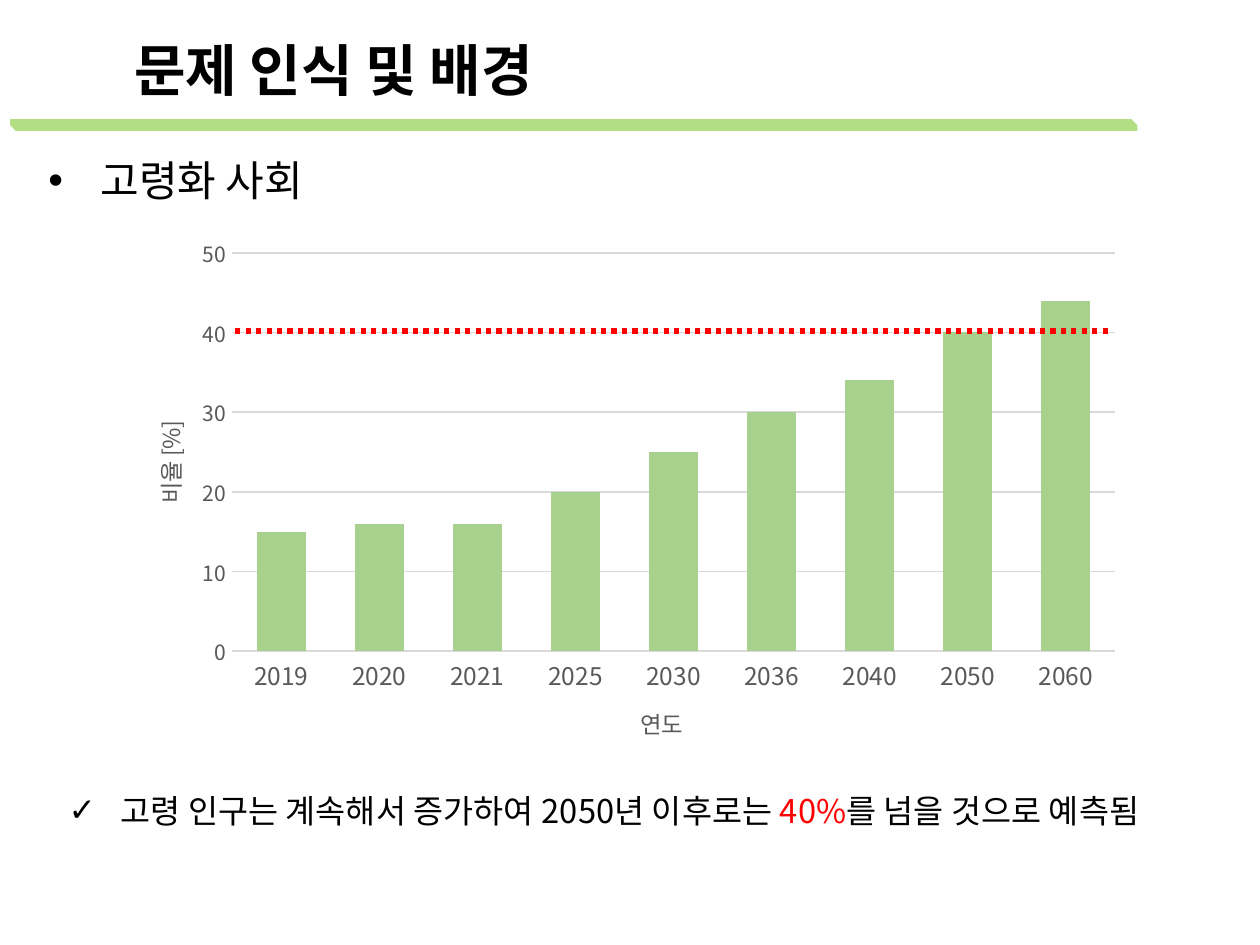
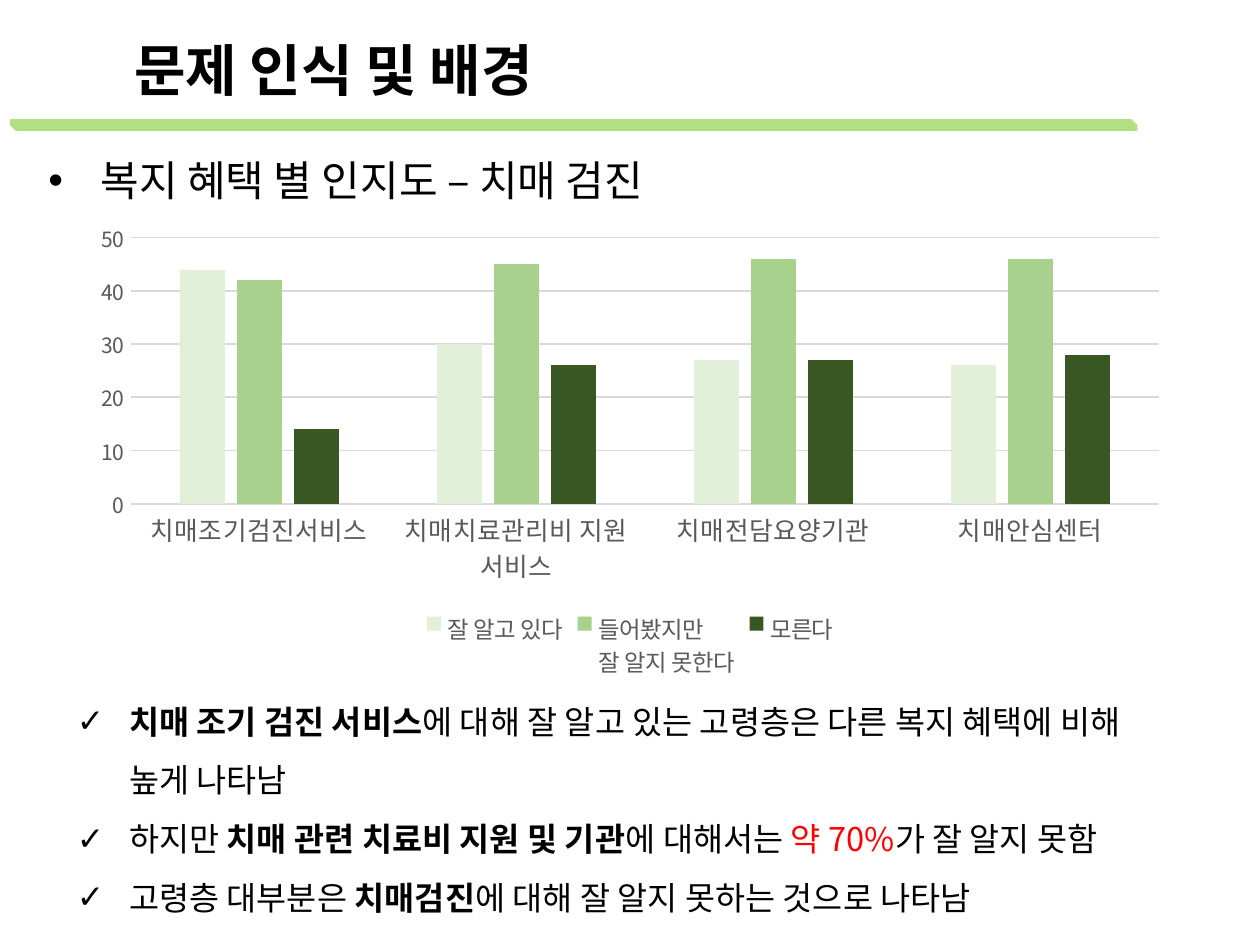
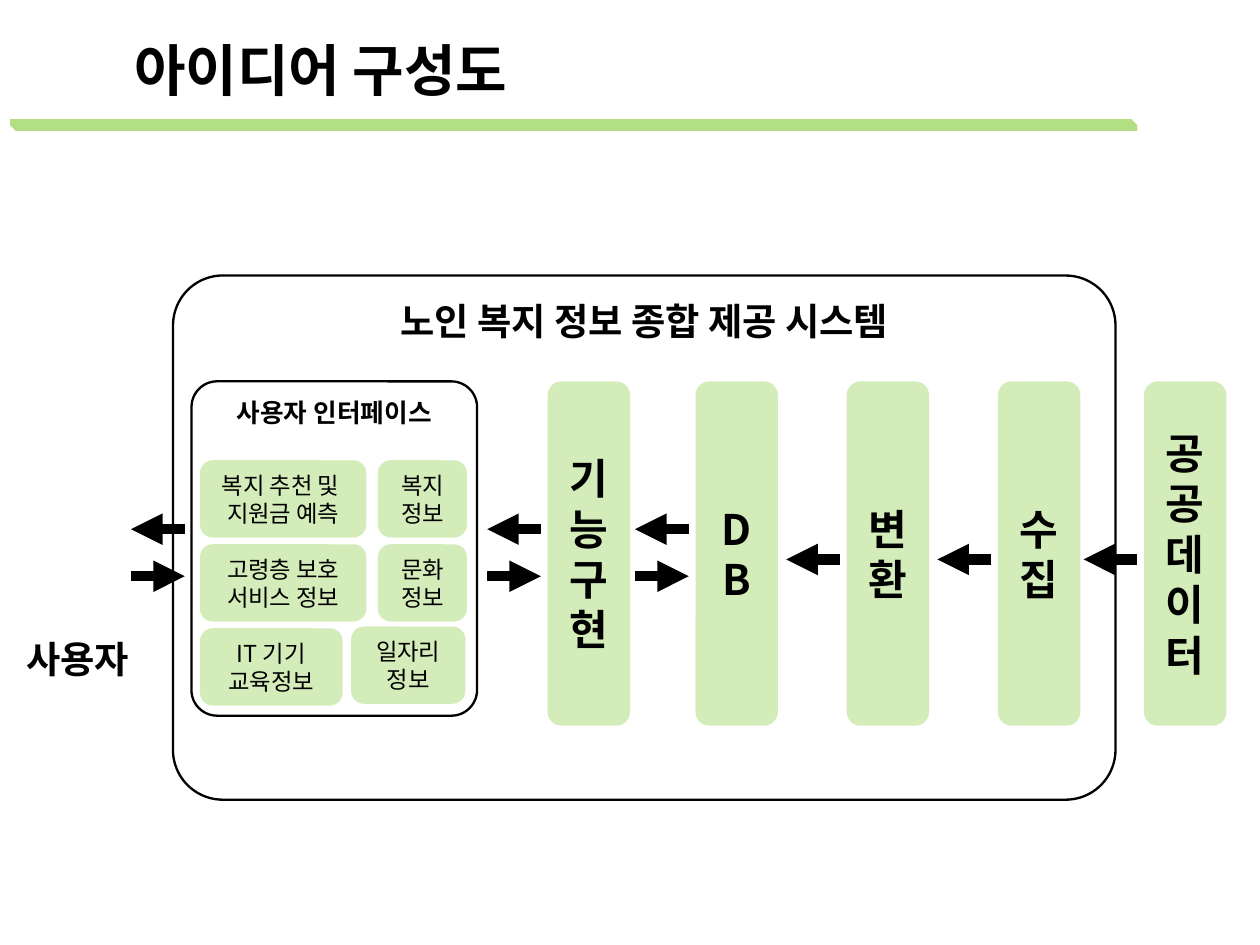
from lxml import etree
from pptx import Presentation
from pptx import util as u
from pptx.chart.data import CategoryChartData
from pptx.dml.color import RGBColor
from pptx.enum import chart as charts, dml, shapes, text
from pptx.oxml import ns

CELL = u.Inches(0.1)
COLUMNS, ROWS = 75, 56.25
FONT = "Noto Sans CJK KR"
COLORS = {
    "black": "000000", "white": "FFFFFF", "red": "FF0000", "green": "92D050",
    "pale": "E2F0D9", "leaf": "A9D18E", "forest": "385723",
    "label": "595959", "grid": "D9D9D9",
}
BULLET_INDENT = u.Inches(0.31)
BAR_TOP, BAR_WIDTH, BAR_HEIGHT = 22.7, 4.9, 20.5
BARS = [(32.6, "기능구현"), (41.4, "DB"), (50.4, "변환"), (59.4, "수집"), (68.1, "공공데이터")]
SERVICES = [
    (11.9, 27.4, 9.9, ["복지 추천 및 ", "지원금 예측"]),
    (22.5, 27.4, 5.3, ["복지", "정보"]),
    (11.9, 32.4, 9.9, ["고령층 보호 서비스 정보"]),
    (22.5, 32.4, 5.3, ["문화", "정보"]),
    (11.9, 37.4, 8.5, ["IT 기기 교육정보"]),
    (20.9, 37.3, 6.8, ["일자리", "정보"]),
]


def cells(*values):
    """Turn grid cells into lengths."""
    return [u.Emu(round(value * CELL)) for value in values]


def rgb(name):
    """Look up a named colour."""
    return RGBColor.from_string(COLORS[name])


def style_font(font, size, color="black", bold=False):
    """Set one font for Latin and Korean letters."""
    font.name, font.size, font.bold = FONT, u.Pt(size), bold
    font.color.rgb = rgb(color)
    etree.SubElement(font._rPr, ns.qn("a:ea")).set("typeface", FONT)


def add_bullet(paragraph, mark):
    """Give a paragraph a hanging bullet."""
    properties = paragraph._p.get_or_add_pPr()
    properties.set("marL", str(BULLET_INDENT))
    properties.set("indent", str(-BULLET_INDENT))
    etree.SubElement(properties, ns.qn("a:buFont")).set("typeface", "Arial")
    etree.SubElement(properties, ns.qn("a:buChar")).set("char", mark)


def write(frame, paragraphs, size, bold=False, align=None, spacing=None, bullet=None):
    """Fill a frame; a paragraph is a string or a list of (text, emphasis)."""
    frame.word_wrap = True
    for index, content in enumerate(paragraphs):
        paragraph = frame.add_paragraph() if index else frame.paragraphs[0]
        paragraph.alignment, paragraph.line_spacing = align, spacing
        if bullet:
            add_bullet(paragraph, bullet)
        style_font(paragraph.font, size, bold=bold)
        for words, emphasis in [(content, None)] if isinstance(content, str) else content:
            run = paragraph.add_run()
            run.text = words
            if emphasis == "bold":
                run.font.bold = True
            elif emphasis:
                run.font.color.rgb = rgb(emphasis)


def add_text(slide, box, paragraphs, size, **style):
    """Add a text box."""
    write(slide.shapes.add_textbox(*cells(*box)).text_frame, paragraphs, size, **style)


def add_block(slide, kind, box, fill, opacity=100, outlined=False):
    """Add a flat shape, optionally see-through or outlined."""
    shape = slide.shapes.add_shape(kind, *cells(*box))
    shape.shadow.inherit = False
    shape.fill.solid()
    shape.fill.fore_color.rgb = rgb(fill)
    if opacity < 100:
        color = shape._element.spPr.find(".//" + ns.qn("a:srgbClr"))
        etree.SubElement(color, ns.qn("a:alpha")).set("val", str(opacity * 1000))
    if outlined:
        shape.line.color.rgb, shape.line.width = rgb("black"), u.Pt(1)
    else:
        shape.line.fill.background()
    return shape


def add_green_box(slide, box, paragraphs, size, bold=False):
    """Add a pale green rounded box with centred text."""
    shape = add_block(slide, shapes.MSO_SHAPE.ROUNDED_RECTANGLE, box, "green", 40)
    shape.text_frame.vertical_anchor = text.MSO_ANCHOR.MIDDLE
    write(shape.text_frame, paragraphs, size, bold, text.PP_ALIGN.CENTER)


def add_panel(slide, box, heading, size, rounding):
    """Add an outlined rounded panel with its heading on top."""
    shape = add_block(slide, shapes.MSO_SHAPE.ROUNDED_RECTANGLE, box, "white", outlined=True)
    shape.adjustments[0] = rounding
    shape.text_frame.vertical_anchor = text.MSO_ANCHOR.TOP
    write(shape.text_frame, [heading], size, True, text.PP_ALIGN.CENTER)


def add_line(slide, start, end, y, color, width):
    """Add a level line."""
    line = slide.shapes.add_connector(shapes.MSO_CONNECTOR.STRAIGHT, *cells(start, y, end, y))
    line.line.color.rgb, line.line.width = rgb(color), u.Pt(width)
    etree.SubElement(line._element.spPr, ns.qn("a:effectLst"))
    return line


def add_arrow(slide, start, end, y):
    """Add a thick black arrow."""
    arrow = add_line(slide, start, end, y, "black", 4.5)
    outline = arrow.line._get_or_add_ln()
    etree.SubElement(outline, ns.qn("a:tailEnd")).set("type", "triangle")


def set_layout(parent, index, **values):
    """Place a chart part by shares of the chart's size."""
    layout = parent.find(ns.qn("c:layout"))
    if layout is None:
        layout = etree.Element(ns.qn("c:layout"))
        parent.insert(index, layout)
    manual = etree.SubElement(layout, ns.qn("c:manualLayout"))
    for tag, value in values.items():
        etree.SubElement(manual, ns.qn("c:" + tag)).set("val", str(value))


def add_axis_title(axis, words, x, y, rotation=0):
    """Add a grey axis title at a fixed place."""
    frame = axis.axis_title.text_frame
    paragraph = frame.paragraphs[0]
    style_font(paragraph.font, 10, "label")
    paragraph.add_run().text = words
    frame._txBody.bodyPr.set("rot", str(rotation * 60000))
    set_layout(axis.axis_title._element, 1, xMode="edge", yMode="edge", x=x, y=y)


def add_columns(slide, box, categories, series, gap, category_size):
    """Add a clustered column chart; series are (name, colour, values)."""
    data = CategoryChartData()
    data.categories = categories
    for name, _, values in series:
        data.add_series(name, values)
    kind = charts.XL_CHART_TYPE.COLUMN_CLUSTERED
    chart = slide.shapes.add_chart(kind, *cells(*box), data).chart
    chart.has_title = chart.has_legend = False
    style_font(chart.font, 10)
    plot = chart.plots[0]
    plot.gap_width, plot.overlap, plot.vary_by_categories = gap, -27, False
    for item, (_, color, _) in zip(plot.series, series):
        item.format.fill.solid()
        item.format.fill.fore_color.rgb = rgb(color)
    for axis, size in ((chart.category_axis, category_size), (chart.value_axis, 9)):
        axis.major_tick_mark = axis.minor_tick_mark = charts.XL_TICK_MARK.NONE
        style_font(axis.tick_labels.font, size, "label")
    values = chart.value_axis
    values.minimum_scale, values.maximum_scale, values.major_unit = 0, 50, 10
    values.format.line.fill.background()
    for line in (chart.category_axis.format.line, values.major_gridlines.format.line):
        line.color.rgb, line.width = rgb("grid"), u.Pt(0.75)
    return chart


def add_slide(presentation, title):
    """Add a blank slide with the shared title and green band."""
    slide = presentation.slides.add_slide(presentation.slide_layouts[6])
    add_text(slide, (7, 1.6, 52.6, 5), [title], 24, bold=True)
    band = add_block(slide, shapes.MSO_SHAPE.SNIP_2_DIAG_RECTANGLE,
                     (0.6, 7.1, 67.1, 0.7), "green", 70)
    band.adjustments[0], band.adjustments[1] = 0, 0.5
    return slide


def add_topic(slide, words):
    """Add the bulleted topic line under the band."""
    add_text(slide, (1.9, 8.7, 61.4, 4), [words], 18, bullet="•")


def add_findings(slide, box, findings):
    """Add check-marked findings."""
    add_text(slide, box, findings, 14, spacing=1.5, bullet="✓")


def build_ageing(presentation):
    """Show the growing share of older people."""
    slide = add_slide(presentation, "문제 인식 및 배경")
    add_topic(slide, "고령화 사회")
    add_findings(slide, (3.1, 45.4, 68.8, 4.2), [[
        ("고령 인구는 계속해서 증가하여 2050년 이후로는 ", None), ("40%", "red"),
        ("를 넘을 것으로 예측됨", None)]])
    years = ["2019", "2020", "2021", "2025", "2030", "2036", "2040", "2050", "2060"]
    shares = [15, 16, 16, 20, 25, 30, 34, 40, 44]
    chart = add_columns(slide, (5.6, 11.8, 63.3, 32.7), years,
                        [("Series 1", "leaf", shares)], 100, 10.5)
    add_axis_title(chart.category_axis, "연도", 0.51, 0.92)
    add_axis_title(chart.value_axis, "비율 [%]", 0.05, 0.4, -90)
    set_layout(chart._chartSpace.chart.plotArea, 0, layoutTarget="inner", xMode="edge",
               yMode="edge", x=0.13, y=0.1, w=0.83, h=0.73)
    threshold = add_line(slide, 14, 66.1, 19.7, "red", 2.25)
    threshold.line.dash_style = dml.MSO_LINE.ROUND_DOT


def build_awareness(presentation):
    """Show how well dementia services are known."""
    slide = add_slide(presentation, "문제 인식 및 배경")
    services = ["치매조기검진서비스", "치매치료관리비 지원 서비스", "치매전담요양기관", "치매안심센터"]
    answers = [
        ("잘 알고 있다", "pale", [44, 30, 27, 26]),
        ("들어봤지만\n잘 알지 못한다", "leaf", [42, 45, 46, 46]),
        ("모른다", "forest", [14, 26, 27, 28]),
    ]
    chart = add_columns(slide, (4.7, 12.7, 65.6, 28.1), services, answers, 219, 11)
    chart.has_legend = True
    chart.legend.position = charts.XL_LEGEND_POSITION.BOTTOM
    chart.legend.include_in_layout = False
    style_font(chart.legend.font, 10, "label")
    add_topic(slide, "복지 혜택 별 인지도 – 치매 검진")
    add_findings(slide, (3.6, 40.1, 65.5, 14.9), [
        [("치매 조기 검진 서비스", "bold"),
         ("에 대해 잘 알고 있는 고령층은 다른 복지 혜택에 비해 높게 나타남", None)],
        [("하지만 ", None), ("치매 관련 치료비 지원 및 기관", "bold"),
         ("에 대해서는 ", None), ("약 70%", "red"), ("가 잘 알지 못함", None)],
        [("고령층 대부분은 ", None), ("치매검진", "bold"),
         ("에 대해 잘 알지 못하는 것으로 나타남", None)],
    ])


def build_architecture(presentation):
    """Show the system from public data to the user."""
    slide = add_slide(presentation, "아이디어 구성도")
    add_panel(slide, (10.3, 16.4, 56.1, 31.2), "노인 복지 정보 종합 제공 시스템", 16, 0.095)
    for left, label in BARS:
        add_green_box(slide, (left, BAR_TOP, BAR_WIDTH, BAR_HEIGHT), [label], 18, True)
    for left, _ in BARS[2:]:
        add_arrow(slide, left - 0.4, left - 3.6, 33.3)
    add_panel(slide, (11.4, BAR_TOP, 17, 19.9), "사용자 인터페이스", 11, 0.09)
    for left, top, width, label in SERVICES:
        add_green_box(slide, (left, top, width, 4.6), label, 10)
    for left in (7.8, 29, 37.8):
        add_arrow(slide, left + 3.2, left, 31.5)
        add_arrow(slide, left, left + 3.2, 34.3)
    add_text(slide, (0.6, 37.4, 8.3, 3.7), ["사용자"], 16, bold=True)


def main():
    """Build and save the presentation."""
    presentation = Presentation()
    presentation.slide_width, presentation.slide_height = cells(COLUMNS, ROWS)
    build_ageing(presentation)
    build_awareness(presentation)
    build_architecture(presentation)
    presentation.save("out.pptx")


if __name__ == "__main__":
    main()
